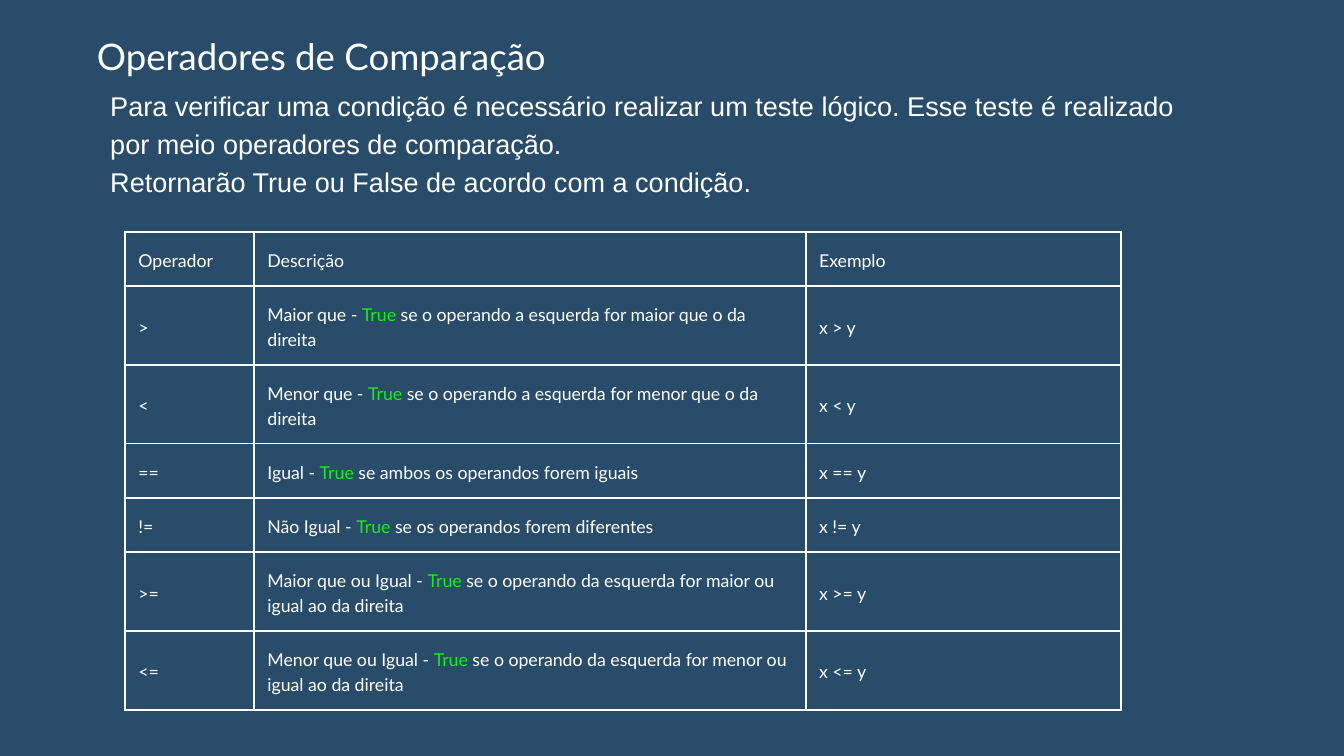
"""Build a slide that lists the comparison operators in a table."""
from lxml import etree
from pptx import Presentation
from pptx.dml.color import RGBColor
from pptx.enum.text import MSO_ANCHOR, MSO_AUTO_SIZE, PP_ALIGN
from pptx.oxml.ns import qn
from pptx.util import Pt

TOP, MIDDLE = MSO_ANCHOR.TOP, MSO_ANCHOR.MIDDLE
LEFT, CENTER = PP_ALIGN.LEFT, PP_ALIGN.CENTER
NO_FIT = MSO_AUTO_SIZE.NONE
NAVY = RGBColor(0x28, 0x4C, 0x6A)
WHITE = RGBColor(0xFF, 0xFF, 0xFF)
GREEN = RGBColor(0x13, 0xF1, 0x0F)


def write(frame, *lines, size, spacing, font="Lato", align=LEFT, anchor=TOP, inset=0, accent=None):
    frame.word_wrap = True
    frame.vertical_anchor = anchor
    frame.margin_left = frame.margin_right = Pt(inset)
    frame.margin_top = frame.margin_bottom = Pt(inset)
    for index, line in enumerate(lines):
        para = frame.add_paragraph() if index else frame.paragraphs[0]
        para.alignment = align
        para.line_spacing = Pt(spacing)
        para.space_before = para.space_after = Pt(0)
        before, found, after = line.partition(accent) if accent else (line, "", "")
        for text, color in ((before, WHITE), (found, GREEN), (after, WHITE)):
            if text:
                span = para.add_run()
                span.text = text
                span.font.name = font
                span.font.size = Pt(size)
                span.font.color.rgb = color


def draw_borders(cell, width):
    properties = cell._tc.get_or_add_tcPr()
    for side in ("a:lnL", "a:lnR", "a:lnT", "a:lnB"):
        line = etree.SubElement(properties, qn(side), w=str(Pt(width)))
        fill = etree.SubElement(line, qn("a:solidFill"))
        etree.SubElement(fill, qn("a:srgbClr"), val=str(WHITE))


deck = Presentation()
deck.slide_width, deck.slide_height = Pt(1440), Pt(810)
page = deck.slides.add_slide(deck.slide_layouts[5])
page.background.fill.solid()
page.background.fill.fore_color.rgb = NAVY

title = page.shapes.title
title.left, title.top, title.width, title.height = Pt(80.6), Pt(28.8), Pt(527.8), Pt(51.8)
title.text_frame.auto_size = NO_FIT
write(title.text_frame, "Operadores de Comparação", size=39.2, spacing=54.9, align=CENTER)

intro = page.shapes.add_textbox(Pt(118.1), Pt(90), Pt(1155.6), Pt(124.6))
write(
    intro.text_frame,
    "Para verificar uma condição é necessário realizar um teste lógico. "
    "Esse teste é realizado por meio operadores de comparação.",
    "Retornarão True ou False de acordo com a condição.",
    size=29, spacing=40.6, font="Arial",
)

operators = [
    (">", "Maior que - True se o operando a esquerda for maior que o da direita"),
    ("<", "Menor que - True se o operando a esquerda for menor que o da direita"),
    ("==", "Igual - True se ambos os operandos forem iguais"),
    ("!=", "Não Igual - True se os operandos forem diferentes"),
    (">=", "Maior que ou Igual - True se o operando da esquerda for maior ou igual ao da direita"),
    ("<=", "Menor que ou Igual - True se o operando da esquerda for menor ou igual ao da direita"),
]
rows = [("Operador", "Descrição", "Exemplo")]
rows += [(sign, meaning, f"x {sign} y") for sign, meaning in operators]
column_widths = [138.2, 591.1, 337.7]
row_heights = [58.3, 84.3, 84.3, 58.3, 58.3, 84.3, 84.3]

table = page.shapes.add_table(
    len(rows), len(column_widths), Pt(133.9), Pt(248.4), Pt(sum(column_widths)), Pt(sum(row_heights))
).table
table.first_row = table.horz_banding = False
for column, width in zip(table.columns, column_widths):
    column.width = Pt(width)
for row, height, texts in zip(table.rows, row_heights, rows):
    row.height = Pt(height)
    for cell, text in zip(row.cells, texts):
        draw_borders(cell, 2.25)
        cell.fill.background()
        cell.vertical_anchor = MIDDLE
        cell.margin_left = cell.margin_right = Pt(14.4)
        cell.margin_top = cell.margin_bottom = Pt(14.4)
        write(cell.text_frame, text, size=19, spacing=26.6, anchor=MIDDLE, inset=14.4, accent="True")

deck.save("out.pptx")
